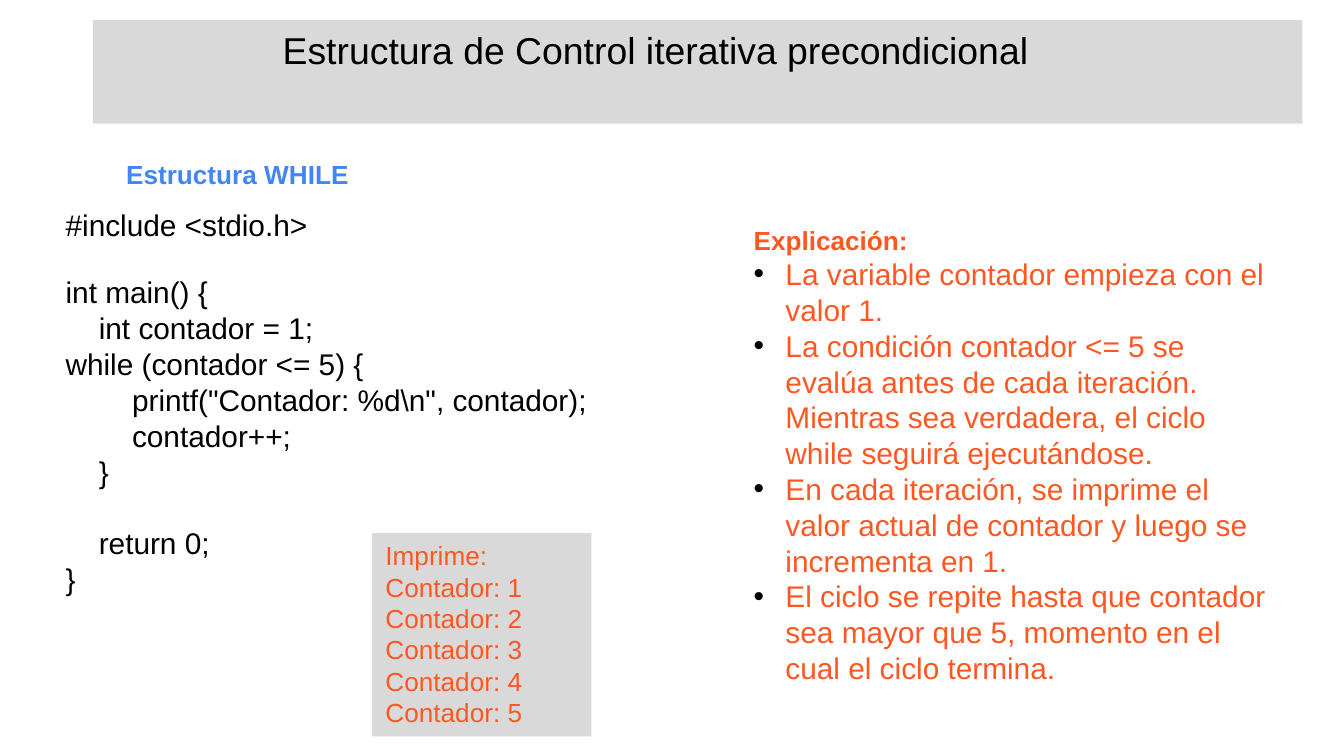
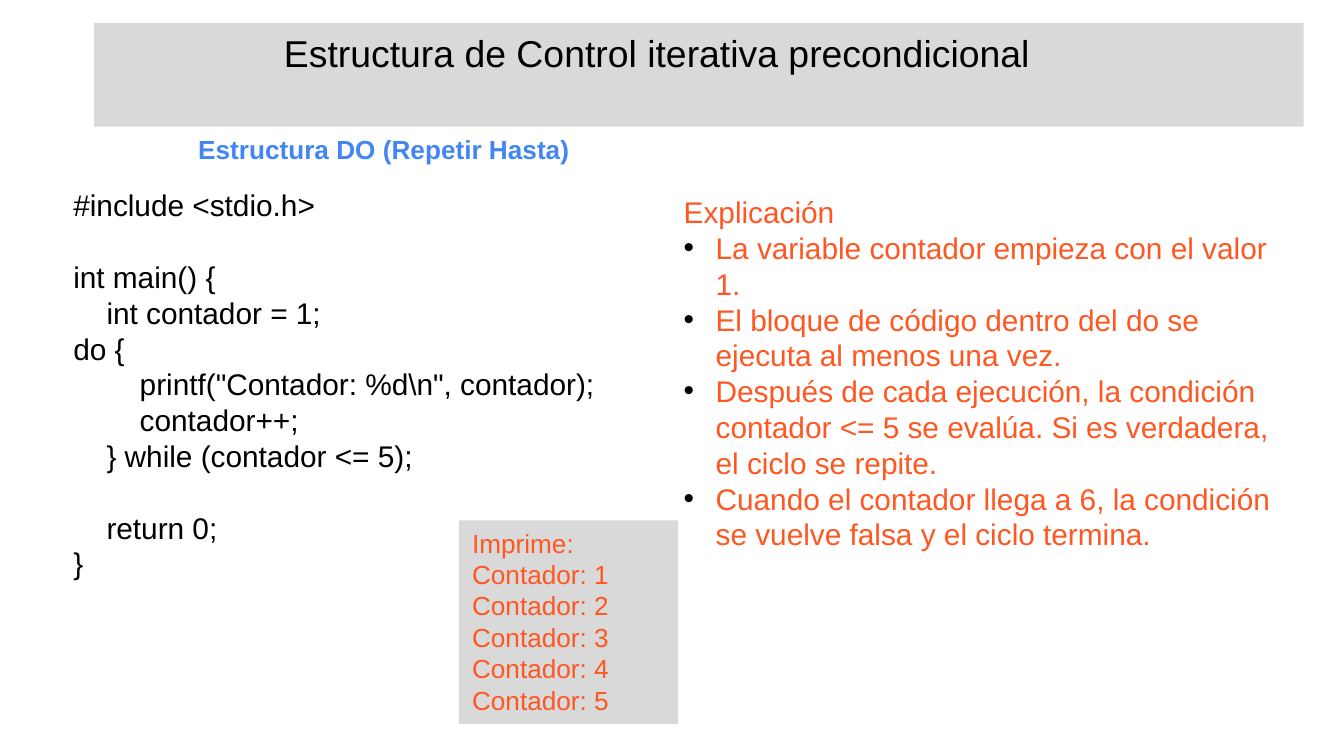
from lxml import etree
from pptx import Presentation
from pptx.dml.color import RGBColor
from pptx.enum import shapes, text
from pptx.oxml import ns
from pptx.util import Pt

COLORS = {"band": "D9D9D9", "ink": "000000", "heading": "4285F4", "accent": "FF5722"}
FONT = "Arial"
TITLE = "Estructura de Control iterativa precondicional"
OUTPUT = ["Imprime:"] + [f"Contador: {number}" for number in range(1, 6)]
SPACE_WIDTH = 4.45
BULLET_INDENT = 17.1

WHILE_CODE = r"""#include <stdio.h>

int main() {
    int contador = 1;
while (contador <= 5) {
        printf("Contador: %d\n", contador);
        contador++;
    }

    return 0;
}"""

DO_CODE = r"""#include <stdio.h>

int main() {
    int contador = 1;
do {
        printf("Contador: %d\n", contador);
        contador++;
    } while (contador <= 5);

    return 0;
}"""

PAGES = [
    {
        "title_at": (49.7, 10.8, 648, 55.5),
        "heading": "Estructura WHILE",
        "heading_at": (60.5, 81.4, 576, 24.5),
        "code": WHILE_CODE,
        "code_at": (28.1, 107.3, 308, 218),
        "first_gap": 16.8,
        "label": "Explicación:",
        "label_size": 14,
        "label_bold": True,
        "points": [
            "La variable contador empieza con el valor 1.",
            "La condición contador <= 5 se evalúa antes de cada iteración. "
            "Mientras sea verdadera, el ciclo while seguirá ejecutándose.",
            "En cada iteración, se imprime el valor actual de contador y luego se incrementa en 1.",
            "El ciclo se repite hasta que contador sea mayor que 5, momento en el cual el ciclo termina.",
        ],
        "points_at": (396.5, 116.6, 296, 273.6),
        "output_at": (199.4, 285.6, 117.5, 109),
    },
    {
        "title_at": (50.4, 12.3, 648, 55.5),
        "heading": "Estructura DO (Repetir Hasta)",
        "heading_at": (99.1, 67.9, 220, 24.5),
        "code": DO_CODE,
        "code_at": (32.2, 96.6, 312.5, 237.6),
        "first_gap": 19.2,
        "label": "Explicación",
        "label_size": 16,
        "label_bold": False,
        "points": [
            "La variable contador empieza con el valor 1.",
            "El bloque de código dentro del do se ejecuta al menos una vez.",
            "Después de cada ejecución, la condición contador <= 5 se evalúa. "
            "Si es verdadera, el ciclo se repite.",
            "Cuando el contador llega a 6, la condición se vuelve falsa y el ciclo termina.",
        ],
        "points_at": (359.1, 100.2, 342.7, 199),
        "output_at": (245.8, 278.8, 117.5, 109),
    },
]


def write(box, lines, size, color, bold=False):
    frame = box.text_frame
    frame.word_wrap = True
    frame.auto_size = text.MSO_AUTO_SIZE.NONE
    frame.vertical_anchor = text.MSO_ANCHOR.TOP
    for index, line in enumerate(lines):
        para = frame.add_paragraph() if index else frame.paragraphs[0]
        para.text = line
        para.alignment = text.PP_ALIGN.LEFT
        para.line_spacing = Pt(size * 1.2)
        para.space_before = Pt(0)
        para.font.name = FONT
        para.font.size = Pt(size)
        para.font.bold = bold
        para.font.color.rgb = RGBColor.from_string(COLORS[color])
    return frame.paragraphs


def place(box, area):
    box.left, box.top, box.width, box.height = map(Pt, area)


deck = Presentation()
deck.slide_width, deck.slide_height = Pt(720), Pt(405)

for content in PAGES:
    page = deck.slides.add_slide(deck.slide_layouts.get_by_name("Title and Content"))

    title = page.shapes.title
    place(title, content["title_at"])
    title.fill.solid()
    title.fill.fore_color.rgb = RGBColor.from_string(COLORS["band"])
    write(title, [TITLE], 20, "ink")
    title.text_frame.margin_left = Pt(101.7)

    heading = page.shapes.add_textbox(*map(Pt, content["heading_at"]))
    write(heading, [content["heading"]], 14, "heading", True)

    code = page.shapes.add_textbox(*map(Pt, content["code_at"]))
    blocks = [block.split("\n") for block in content["code"].split("\n\n")]
    lines = [line for block in blocks for line in block]
    paras = write(code, [line.strip() for line in lines], 16, "ink")
    for line, para in zip(lines, paras):
        indent = (len(line) - len(line.lstrip())) * SPACE_WIDTH
        para._p.get_or_add_pPr().set("marL", str(Pt(indent)))
    paras[len(blocks[0])].space_before = Pt(content["first_gap"])
    paras[len(blocks[0]) + len(blocks[1])].space_before = Pt(19.2)

    body = page.placeholders[1]
    place(body, content["points_at"])
    label, *points = write(body, [content["label"], *content["points"]], 16, "accent")
    label.font.size = Pt(content["label_size"])
    label.font.bold = content["label_bold"]
    label.line_spacing = Pt(content["label_size"] * 1.2)
    properties = label._p.get_or_add_pPr()
    properties.set("marL", "0")
    properties.set("indent", "0")
    properties.insert_element_before(etree.Element(ns.qn("a:buNone")), "a:defRPr")
    for para in points:
        properties = para._p.get_or_add_pPr()
        properties.set("marL", str(Pt(BULLET_INDENT)))
        properties.set("indent", str(Pt(-BULLET_INDENT)))
        bullet_color = etree.Element(ns.qn("a:buClr"))
        etree.SubElement(bullet_color, ns.qn("a:srgbClr"), val=COLORS["ink"])
        bullet_font = etree.Element(ns.qn("a:buFont"), typeface=FONT)
        bullet = etree.Element(ns.qn("a:buChar"), char="•")
        for element in (bullet_color, bullet_font, bullet):
            properties.insert_element_before(element, "a:defRPr")

    output = page.shapes.add_shape(shapes.MSO_SHAPE.RECTANGLE, *map(Pt, content["output_at"]))
    output.shadow.inherit = False
    output.fill.solid()
    output.fill.fore_color.rgb = RGBColor.from_string(COLORS["band"])
    output.line.fill.background()
    write(output, OUTPUT, 14, "accent")

deck.save("out.pptx")
